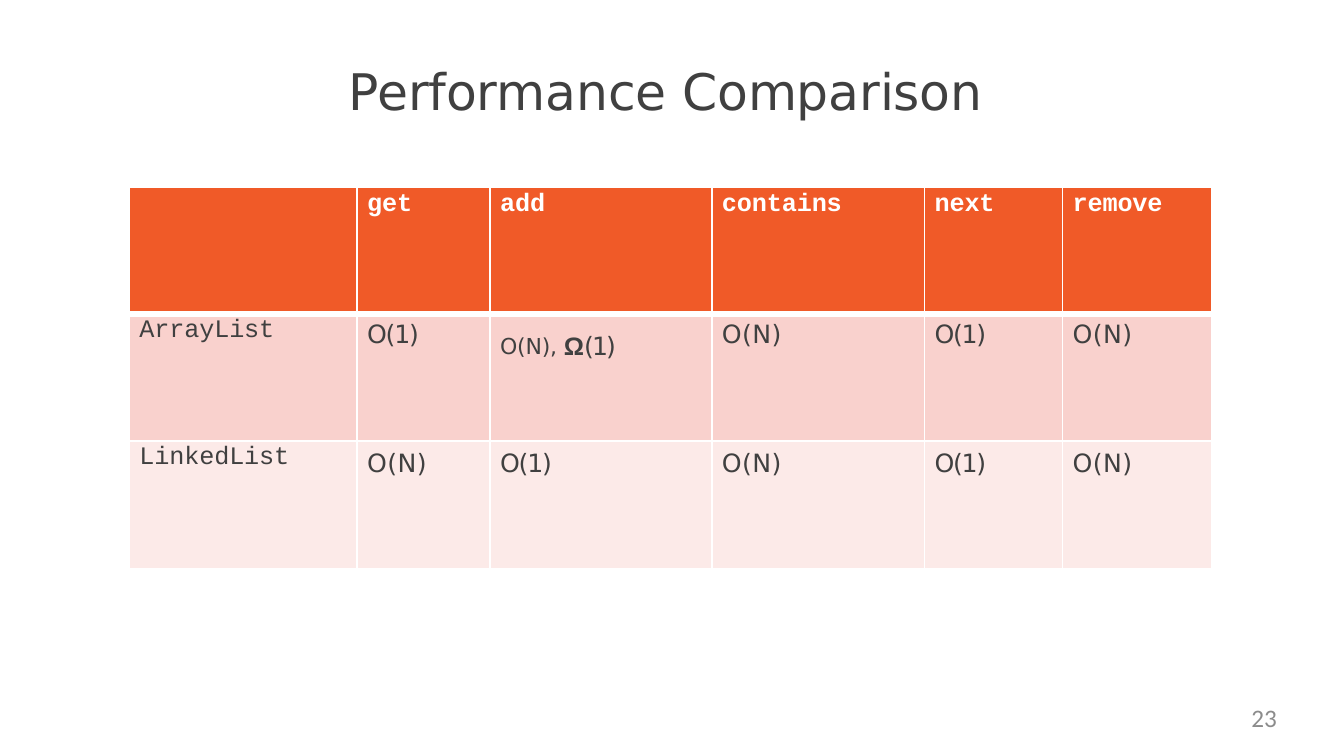
import pptx
import pptx.util
import pptx.dml.color
import pptx.enum.text
import pptx.oxml
import pptx.oxml.ns
from dataclasses import dataclass

Pt = pptx.util.Pt
PP_ALIGN = pptx.enum.text.PP_ALIGN


@dataclass(frozen=True)
class Theme:
    ink: str = "404040"
    white: str = "FFFFFF"
    muted: str = "8C8C8C"
    header: str = "F05A28"
    bands: tuple = ("F9D1CD", "FCEAE8")
    title_size: float = 36
    body_size: float = 18
    raised_size: float = 27
    thin: float = 1.5
    thick: float = 4.25
    sans: str = "DejaVu Sans"
    code: str = "Courier New"
    symbol: str = "Arial"
    number: str = "Calibri"


class SlideBuilder:
    def __init__(self, prs, theme):
        self.theme = theme
        self.slide = prs.slides.add_slide(prs.slide_layouts[5])

    def add_run(self, p, text, color, spacing=0, baseline=0, **fmt):
        r = p.add_run()
        r.text = text
        for name, value in fmt.items():
            setattr(r.font, name, Pt(value) if name == "size" else value)
        r.font.color.rgb = pptx.dml.color.RGBColor.from_string(color)
        rPr = r._r.get_or_add_rPr()
        for name, value in {"spc": spacing * 100, "baseline": baseline * 1000}.items():
            if value:
                rPr.set(name, str(round(value)))

    def format_text(self, sp, box, align, top=0):
        for name, value in zip(("left", "top", "width", "height"), box):
            setattr(sp, name, Pt(value))
        tf = sp.text_frame
        values = {
            "margin_left": 0, "margin_top": Pt(top), "margin_right": 0, "margin_bottom": 0,
            "word_wrap": True, "auto_size": pptx.enum.text.MSO_AUTO_SIZE.NONE,
            "vertical_anchor": pptx.enum.text.MSO_ANCHOR.TOP,
        }
        for name, value in values.items():
            setattr(tf, name, value)
        p = tf.paragraphs[0]
        p.alignment = align
        return p

    def title(self, text, box):
        p = self.format_text(self.slide.shapes.title, box, PP_ALIGN.LEFT, top=1.7)
        self.add_run(p, text, self.theme.ink, spacing=-0.1,
                     name=self.theme.sans, size=self.theme.title_size)

    def page_number(self, text, box):
        sp = self.slide.shapes.add_textbox(*map(Pt, box))
        p = self.format_text(sp, box, PP_ALIGN.RIGHT)
        self.add_run(p, text, self.theme.muted, name=self.theme.number, size=self.theme.body_size)

    def cell(self, cell, runs, fill, top, borders):
        tcPr = cell._tc.get_or_add_tcPr()
        for side, width in borders.items():
            tcPr.append(pptx.oxml.parse_xml(
                f'<a:ln{side} {pptx.oxml.ns.nsdecls("a")} w="{Pt(width)}"><a:solidFill>'
                f'<a:srgbClr val="{self.theme.white}"/></a:solidFill></a:ln{side}>'))
        cell.fill.solid()
        cell.fill.fore_color.rgb = pptx.dml.color.RGBColor.from_string(fill)
        margins = {"left": 7.2, "top": top, "right": 0, "bottom": 0}
        for side, value in margins.items():
            setattr(cell, f"margin_{side}", Pt(value))
        for text, fmt in runs:
            self.add_run(cell.text_frame.paragraphs[0], text, **fmt)

    def table(self, left, top, widths, row_height, header, rows):
        t = self.theme
        frame = self.slide.shapes.add_table(
            len(rows) + 1, len(widths), Pt(left), Pt(top),
            Pt(sum(widths)), Pt(row_height * (len(rows) + 1)))
        table = frame.table
        table.horz_banding = False
        for column, width in zip(table.columns, widths):
            column.width = Pt(width)
        for row in table.rows:
            row.height = Pt(row_height)

        code = {"name": t.code, "size": t.body_size, "bold": False,
                "color": t.ink, "spacing": -0.1}
        head = {**code, "bold": True, "color": t.white}
        sans = {**code, "name": t.sans}
        thin = dict.fromkeys("LRTB", t.thin)

        for c, text in enumerate(header):
            runs = [(text, head)] if text else []
            self.cell(table.cell(0, c), runs, t.header, 2.5, {**thin, "B": t.thick})
        for i, row in enumerate(rows):
            borders = {**thin, "T": t.thick} if i == 0 else thin
            for c, value in enumerate(row):
                if c == 0:
                    runs = [(value, code)]
                elif isinstance(value, tuple):
                    upper, omega, lower = value
                    runs = [
                        (upper, {**sans, "size": t.raised_size, "baseline": 3}),
                        (omega, {**sans, "name": t.symbol, "bold": True, "spacing": -1.3}),
                        (lower, {**sans, "spacing": -1.3}),
                    ]
                else:
                    runs = [(value, {**sans, "spacing": 0.3 if "N" in value else -0.9})]
                inset = 1.8 if c == 0 else 4.7 + i
                self.cell(table.cell(i + 1, c), runs, t.bands[i], inset, borders)


def main():
    prs = pptx.Presentation()
    prs.slide_width, prs.slide_height = Pt(960), Pt(540)
    s = SlideBuilder(prs, Theme())
    s.title("Performance Comparison", (249.1, 41, 456, 45.4))
    s.table(
        92.4, 133.4, (162.7, 95, 158.4, 151.9, 98.6, 106.6), 90.9,
        ("", "get", "add", "contains", "next", "remove"),
        (
            ("ArrayList", "O(1)", ("O(N), ", "Ω", "(1)"), "O(N)", "O(1)", "O(N)"),
            ("LinkedList", "O(N)", "O(1)", "O(N)", "O(1)", "O(N)"),
        ))
    s.page_number("23", (691.2, 501.8, 221, 27.4))
    prs.save("out.pptx")


if __name__ == "__main__":
    main()
